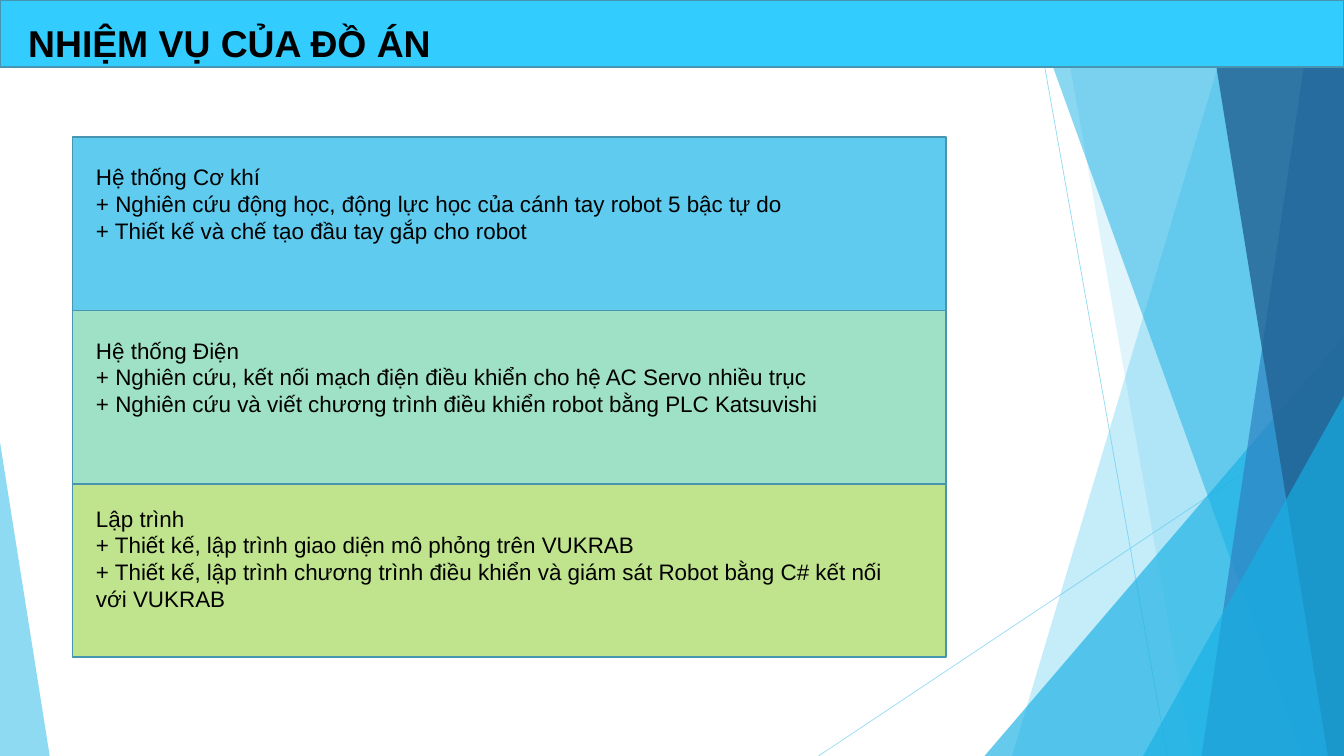
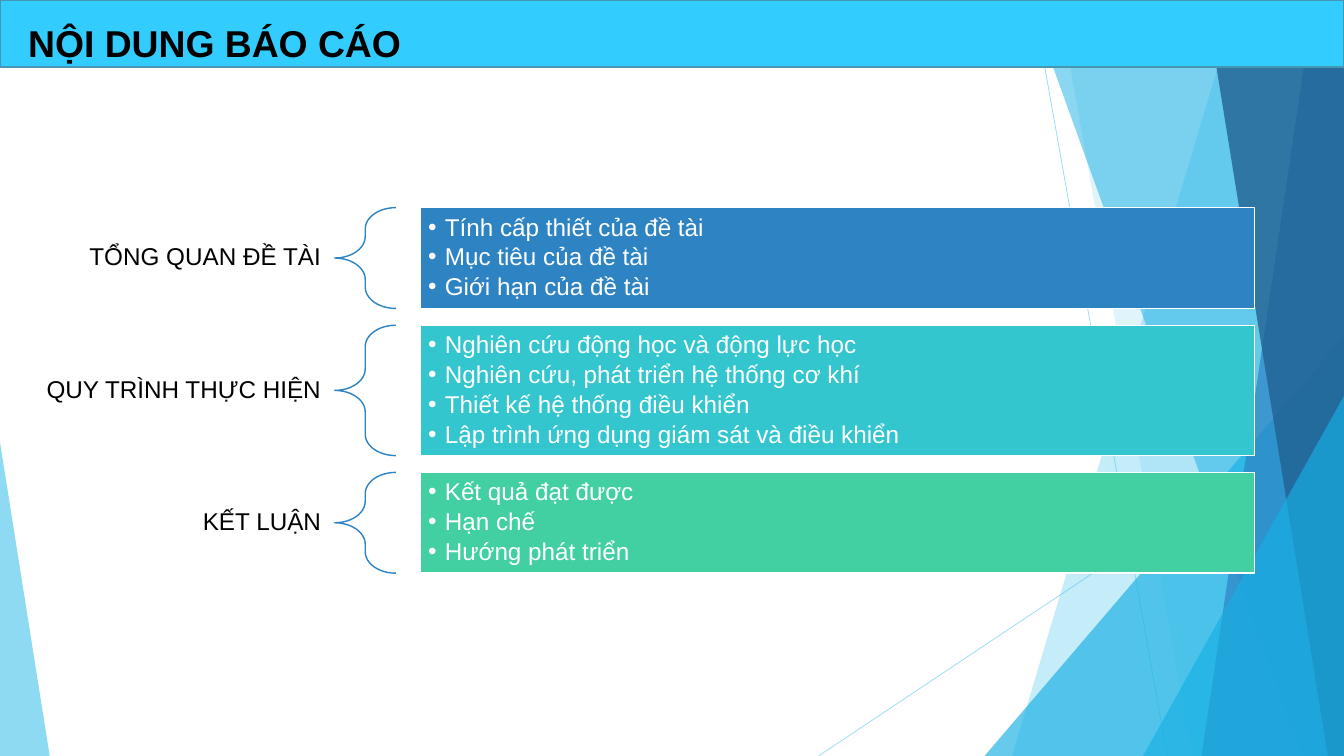
from dataclasses import dataclass

from lxml import etree
from pptx import Presentation
from pptx.dml.color import RGBColor
from pptx.enum.shapes import MSO_CONNECTOR, MSO_SHAPE
from pptx.enum.text import MSO_ANCHOR, PP_ALIGN
from pptx.oxml.ns import qn
from pptx.util import Inches, Pt

RECTANGLE = MSO_SHAPE.RECTANGLE
TRIANGLE = MSO_SHAPE.ISOSCELES_TRIANGLE
BRACE = MSO_SHAPE.LEFT_BRACE
STRAIGHT = MSO_CONNECTOR.STRAIGHT
TOP, MIDDLE = MSO_ANCHOR.TOP, MSO_ANCHOR.MIDDLE
LEFT, RIGHT = PP_ALIGN.LEFT, PP_ALIGN.RIGHT


@dataclass(frozen=True)
class Theme:
    font: str = "Arial"
    title_size: int = 40
    task_size: int = 24
    agenda_size: int = 26
    border: float = 1.5
    hairline: float = 0.75
    ink: str = "000000"
    white: str = "FFFFFF"
    band: str = "33CCFF"
    edge: str = "4696B1"
    sky: str = "5FCBEF"
    azure: str = "17B0E4"
    blue: str = "2E83C3"
    navy: str = "226292"
    mint: str = "9FE1C6"
    lime: str = "C0E38D"
    teal: str = "34C6CE"
    green: str = "42D0A2"


THEME = Theme()
WIDTH, HEIGHT = 20, 11.25

TASKS_TITLE = "NHIỆM VỤ CỦA ĐỒ ÁN"
TASKS = [
    (THEME.sky, 0.34, [
        "Hệ thống Cơ khí",
        "+ Nghiên cứu động học, động lực học của cánh tay robot 5 bậc tự do",
        "+ Thiết kế và chế tạo đầu tay gắp cho robot",
    ]),
    (THEME.mint, 0.34, [
        "Hệ thống Điện",
        "+ Nghiên cứu, kết nối mạch điện điều khiển cho hệ AC Servo nhiều trục",
        "+ Nghiên cứu và viết chương trình điều khiển robot bằng PLC Katsuvishi",
    ]),
    (THEME.lime, 0.26, [
        "Lập trình",
        "+ Thiết kế, lập trình giao diện mô phỏng trên VUKRAB",
        "+ Thiết kế, lập trình chương trình điều khiển và giám sát Robot bằng C# kết nối với VUKRAB",
    ]),
]

AGENDA_TITLE = "NỘI DUNG BÁO CÁO"
AGENDA = [
    ("TỔNG QUAN ĐỀ TÀI", THEME.blue, [
        "Tính cấp thiết của đề tài",
        "Mục tiêu của đề tài",
        "Giới hạn của đề tài",
    ]),
    ("QUY TRÌNH THỰC HIỆN", THEME.teal, [
        "Nghiên cứu động học và động lực học",
        "Nghiên cứu, phát triển hệ thống cơ khí",
        "Thiết kế hệ thống điều khiển",
        "Lập trình ứng dụng giám sát và điều khiển",
    ]),
    ("KẾT LUẬN", THEME.green, [
        "Kết quả đạt được",
        "Hạn chế",
        "Hướng phát triển",
    ]),
]

RAYS = [(15.37, 0, 17.37, HEIGHT), (WIDTH, 6.04, 12.18, HEIGHT)]
FACETS = [
    ("slab", (18.42, 15.06), THEME.sky, 36),
    ("slab", (15.75, 17.74), THEME.sky, 20),
    ("wedge", (14.65, 5, 5.35, 1), THEME.azure, 66),
    ("slab", (15.31, 19.37), THEME.azure, 50),
    ("slab", (19.55, 17.88), THEME.blue, 70),
    ("slab", (17.94, 19.76), THEME.navy, 80),
    ("wedge", (17.01, 5.89, 2.99, 1), THEME.azure, 66),
    ("wedge", (0, 6.58, 0.74, 0), THEME.sky, 70),
]


def inches(*lengths):
    return [Inches(length) for length in lengths]


def paint(shape, fill=None, line=None):
    shape.shadow.inherit = False
    if fill:
        shape.fill.solid()
        shape.fill.fore_color.rgb = RGBColor.from_string(fill)
    else:
        shape.fill.background()
    if line:
        shape.line.color.rgb = RGBColor.from_string(line)
        shape.line.width = Pt(THEME.border)
    else:
        shape.line.fill.background()


def set_opacity(shape, percent):
    for color in shape.element.iter(qn("a:srgbClr")):
        etree.SubElement(color, qn("a:alpha")).set("val", str(percent * 1000))


def add_preset(slide, kind, box, fill=None, line=None):
    shape = slide.shapes.add_shape(kind, *inches(*box))
    paint(shape, fill, line)
    return shape


def write(shape, lines, size, color=THEME.ink, bold=False, align=LEFT,
          anchor=TOP, insets=(0.1, 0.05)):
    frame = shape.text_frame
    frame.word_wrap = True
    frame.vertical_anchor = anchor
    frame.margin_left = frame.margin_right = Inches(insets[0])
    frame.margin_top = frame.margin_bottom = Inches(insets[1])
    frame.text = "\n".join(lines)
    for paragraph in frame.paragraphs:
        paragraph.alignment = align
        for run in paragraph.runs:
            run.font.name = THEME.font
            run.font.size = Pt(size)
            run.font.bold = bold
            run.font.color.rgb = RGBColor.from_string(color)
    return frame.paragraphs


def add_text(slide, box, lines, size, **style):
    return write(slide.shapes.add_textbox(*inches(*box)), lines, size, **style)


def add_bullet(paragraph):
    paragraph.level = 1
    paragraph.line_spacing = 0.9
    paragraph.space_after = Pt(3.9)
    properties = paragraph._p.get_or_add_pPr()
    properties.set("marL", str(Inches(0.25)))
    properties.set("indent", str(-Inches(0.25)))
    etree.SubElement(properties, qn("a:buFont")).set("typeface", THEME.font)
    etree.SubElement(properties, qn("a:buChar")).set("char", "•")


def add_ray(slide, ends):
    ray = slide.shapes.add_connector(STRAIGHT, *inches(*ends))
    ray.line.color.rgb = RGBColor.from_string(THEME.sky)
    ray.line.width = Pt(THEME.hairline)
    set_opacity(ray, 70)
    etree.SubElement(ray.element.spPr, qn("a:effectLst"))


def add_slab(slide, top_x, bottom_x):
    outline = slide.shapes.build_freeform(*inches(top_x, 0))
    corners = [(WIDTH, 0), (WIDTH, HEIGHT), (bottom_x, HEIGHT)]
    outline.add_line_segments([inches(*corner) for corner in corners], close=True)
    return outline.convert_to_shape()


def add_wedge(slide, left, top, width, apex):
    wedge = add_preset(slide, TRIANGLE, (left, top, width, HEIGHT - top))
    wedge.adjustments[0] = apex
    return wedge


def decorate_layout(layout, slide):
    for placeholder in list(layout.placeholders):
        layout.shapes.element.remove(placeholder.element)
    for ends in RAYS:
        add_ray(slide, ends)
    builders = {"slab": add_slab, "wedge": add_wedge}
    for kind, geometry, color, opacity in FACETS:
        facet = builders[kind](slide, *geometry)
        paint(facet, color)
        set_opacity(facet, opacity)
    add_preset(slide, RECTANGLE, (0, 0, WIDTH, 1), THEME.band, THEME.edge)
    for part in list(slide.shapes):
        layout.shapes.element.append(part.element)


def add_title(slide, title):
    heading, = add_text(slide, (0.42, 0, 15.1, 0.86), [title],
                        THEME.title_size, bold=True, insets=(0, 0))
    heading.line_spacing = Pt(70)


def fill_tasks(slide):
    add_title(slide, TASKS_TITLE)
    left, top, width, height, pitch = 1.08, 2.04, 13, 2.58, 2.58
    for row, (color, _, _) in enumerate(TASKS):
        add_preset(slide, RECTANGLE, (left, top + row * pitch, width, height),
                   color, THEME.edge)
    for row, (_, drop, lines) in enumerate(TASKS):
        add_text(slide, (left + 0.25, top + row * pitch + drop, 12.42, 1.31),
                 lines, THEME.task_size)


def fill_agenda(slide):
    add_title(slide, AGENDA_TITLE)
    top, gap, line_height, padding, label_height = 3.09, 0.25, 0.44, 0.18, 1.41
    for section, color, topics in AGENDA:
        height = len(topics) * line_height + padding
        label_top = top + (height - label_height) / 2
        add_text(slide, (0.42, label_top, 4.56, label_height), [section],
                 THEME.agenda_size, align=RIGHT, anchor=MIDDLE,
                 insets=(0.2, 0.07))[0].line_spacing = 0.9
        brace = add_preset(slide, BRACE, (4.98, top, 0.91, height), line=THEME.blue)
        brace.adjustments[0] = 0.35
        panel = add_preset(slide, RECTANGLE, (6.26, top, 12.41, height),
                           color, THEME.white)
        for topic in write(panel, topics, THEME.agenda_size, THEME.white,
                           anchor=MIDDLE, insets=(0.11, 0.11)):
            add_bullet(topic)
        top += height + gap


def main():
    deck = Presentation()
    deck.slide_width, deck.slide_height = inches(WIDTH, HEIGHT)
    blank = deck.slide_layouts[6]
    tasks, agenda = [deck.slides.add_slide(blank) for _ in range(2)]
    decorate_layout(blank, tasks)
    fill_tasks(tasks)
    fill_agenda(agenda)
    deck.save("out.pptx")


if __name__ == "__main__":
    main()
